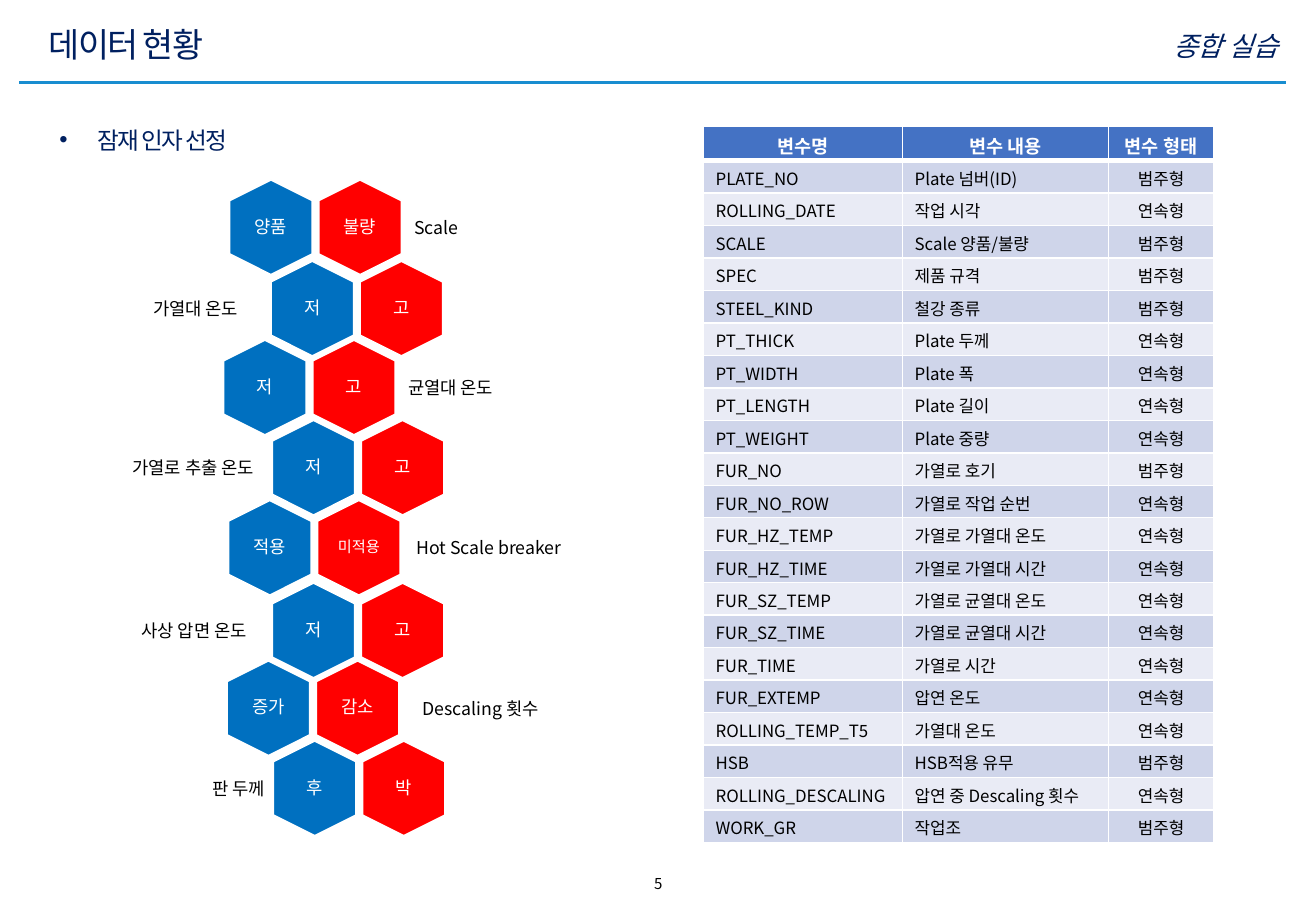
from pptx import Presentation
from pptx.dml.color import RGBColor
from pptx.enum.shapes import MSO_CONNECTOR as Connector, MSO_SHAPE as Shape
from pptx.enum.text import MSO_ANCHOR as Anchor, MSO_AUTO_SIZE as AutoSize, PP_ALIGN as Align
from pptx.oxml.ns import qn
from pptx.util import Pt
from lxml.etree import SubElement, Element

# Content
TITLE = "데이터 현황"
COURSE = "종합 실습"
HEADING = "잠재 인자 선정"
PAGE = "5"

# blue level, red level, factor, left of the blue hexagon, top, label edge nearest the pair
FACTORS = [
    ("양품", "불량", "Scale", 132.5, 110.2, 241.9),
    ("저", "고", "가열대 온도", 157, 158.4, 144.7),
    ("저", "고", "균열대 온도", 128.9, 205.2, 238.3),
    ("저", "고", "가열로 추출 온도", 157.7, 252.7, 154.1),
    ("적용", "미적용", "Hot Scale breaker", 131.8, 300.2, 243.4),
    ("저", "고", "사상 압면 온도", 157.7, 349.2, 149.8),
    ("증가", "감소", "Descaling 횟수", 131, 395.3, 247),
    ("후", "박", "판 두께", 158.4, 442.8, 160.6),
]

HEADER = ("변수명", "변수 내용", "변수 형태")
CATEGORY, CONTINUOUS = "범주형", "연속형"
VARIABLES = [
    ("PLATE_NO", "Plate 넘버(ID)", CATEGORY),
    ("ROLLING_DATE", "작업 시각", CONTINUOUS),
    ("SCALE", "Scale 양품/불량", CATEGORY),
    ("SPEC", "제품 규격", CATEGORY),
    ("STEEL_KIND", "철강 종류", CATEGORY),
    ("PT_THICK", "Plate 두께", CONTINUOUS),
    ("PT_WIDTH", "Plate 폭", CONTINUOUS),
    ("PT_LENGTH", "Plate 길이", CONTINUOUS),
    ("PT_WEIGHT", "Plate 중량", CONTINUOUS),
    ("FUR_NO", "가열로 호기", CATEGORY),
    ("FUR_NO_ROW", "가열로 작업 순번", CONTINUOUS),
    ("FUR_HZ_TEMP", "가열로 가열대 온도", CONTINUOUS),
    ("FUR_HZ_TIME", "가열로 가열대 시간", CONTINUOUS),
    ("FUR_SZ_TEMP", "가열로 균열대 온도", CONTINUOUS),
    ("FUR_SZ_TIME", "가열로 균열대 시간", CONTINUOUS),
    ("FUR_TIME", "가열로 시간", CONTINUOUS),
    ("FUR_EXTEMP", "압연 온도", CONTINUOUS),
    ("ROLLING_TEMP_T5", "가열대 온도", CONTINUOUS),
    ("HSB", "HSB적용 유무", CATEGORY),
    ("ROLLING_DESCALING", "압연 중 Descaling 횟수", CONTINUOUS),
    ("WORK_GR", "작업조", CATEGORY),
]

FONT = "Noto Sans CJK KR"
COLORS = {
    "navy": "002060", "rule": "188DD0", "blue": "0070C0", "red": "FF0000",
    "white": "FFFFFF", "black": "000000",
    "header": "4472C4", "odd": "CFD5EA", "even": "E9EBF5",
}
HEX_W, HEX_H, HEX_PITCH = 56.2, 49, 52.8
LEVEL_W, LEVEL_H = 34, 38
LABEL_W, LABEL_H = 110, 34
COLUMN_WIDTHS = (118, 122, 62.5)
HEADER_H, ROW_H = 20.2, 19.25


def rgb(name):
    return RGBColor.from_string(COLORS[name])


def write(frame, text, size, color, align=Align.LEFT, spacing=None, bold=False, italic=False):
    frame.text = text
    paragraph = frame.paragraphs[0]
    paragraph.alignment = align
    paragraph.space_before = Pt(0)
    run = paragraph.runs[0]
    font = run.font
    font.name, font.size, font.bold, font.italic = FONT, Pt(size), bold, italic
    font.color.rgb = rgb(color)
    props = run._r.get_or_add_rPr()
    SubElement(props, qn("a:ea")).set("typeface", FONT)
    if spacing is not None:
        props.set("spc", str(spacing * 100))
    return paragraph


def set_insets(frame, inset):
    frame.margin_left = frame.margin_right = Pt(inset)
    frame.margin_top = frame.margin_bottom = Pt(inset)


def place(holder, left, top, width, height):
    holder.left, holder.top, holder.width, holder.height = map(Pt, (left, top, width, height))
    holder.text_frame.auto_size = AutoSize.NONE
    holder.text_frame.vertical_anchor = Anchor.MIDDLE


def add_text(box, text, size, color, align, inset=0, anchor=Anchor.MIDDLE, italic=False):
    frame = slide.shapes.add_textbox(*map(Pt, box)).text_frame
    frame.word_wrap = True
    frame.vertical_anchor = anchor
    set_insets(frame, inset)
    return write(frame, text, size, color, align, italic=italic)


def add_level(text, color, left, top):
    hexagon = slide.shapes.add_shape(Shape.HEXAGON, Pt(left), Pt(top), Pt(HEX_W), Pt(HEX_H))
    hexagon.rotation = 90
    hexagon.adjustments[0] = 0.25
    hexagon.shadow.inherit = False
    hexagon.fill.solid()
    hexagon.fill.fore_color.rgb = rgb(color)
    hexagon.line.color.rgb = rgb("white")
    hexagon.line.width = Pt(1)
    box = (left + (HEX_W - LEVEL_W) / 2, top + (HEX_H - LEVEL_H) / 2, LEVEL_W, LEVEL_H)
    size = 9 if len(text) > 2 else 10.5
    add_text(box, text, size, "white", Align.CENTER).line_spacing = 0.9


def add_borders(cell, top, bottom):
    props = cell._tc.get_or_add_tcPr()
    for position, (side, width) in enumerate((("L", 1), ("R", 1), ("T", top), ("B", bottom))):
        border = Element(qn(f"a:ln{side}"), w=str(Pt(width)))
        fill = SubElement(border, qn("a:solidFill"))
        SubElement(fill, qn("a:srgbClr")).set("val", COLORS["white"])
        props.insert(position, border)


prs = Presentation()
prs.slide_width, prs.slide_height = Pt(780), Pt(540)
slide = prs.slides.add_slide(prs.slide_layouts[1])

# Title, course name and rule
title = slide.shapes.title
place(title, 21.6, 10, 612.7, 31.7)
write(title.text_frame, TITLE, 20, "navy", spacing=-1)
add_text((471.6, 17.3, 286, 23), COURSE, 16, "navy", Align.RIGHT, anchor=Anchor.TOP, italic=True)
rule = slide.shapes.add_connector(Connector.STRAIGHT, Pt(11.5), Pt(49), Pt(762.5), Pt(49))
rule.line.color.rgb = rgb("rule")
rule.line.width = Pt(2)
SubElement(rule._element.spPr, qn("a:effectLst"))

# Heading with its bullet
heading = slide.placeholders[1]
place(heading, 28, 70.6, 380, 24.5)
heading_props = write(heading.text_frame, HEADING, 14, "navy", spacing=-1)._p.get_or_add_pPr()
heading_props.set("marL", str(Pt(22.5)))
heading_props.set("indent", str(Pt(-22.5)))
SubElement(heading_props, qn("a:buFont")).set("typeface", "Arial")
SubElement(heading_props, qn("a:buChar")).set("char", "•")

# Hexagon pairs, with the factor label on alternating sides
for index, (blue_level, red_level, factor, left, top, edge) in enumerate(FACTORS):
    add_level(blue_level, "blue", left, top)
    add_level(red_level, "red", left + HEX_PITCH, top)
    on_left = index % 2 == 1
    label_left = edge - LABEL_W if on_left else edge
    label_box = (label_left, top + (HEX_H - LABEL_H) / 2 + 0.7, LABEL_W, LABEL_H)
    label = add_text(label_box, factor, 10.5, "black", Align.RIGHT if on_left else Align.LEFT, 3.6)
    label.line_spacing = 0.9

# Variable table
rows = [HEADER] + VARIABLES
variables = slide.shapes.add_table(
    len(rows), len(HEADER), Pt(417), Pt(75), Pt(sum(COLUMN_WIDTHS)),
    Pt(HEADER_H + ROW_H * len(VARIABLES))).table
for column, width in zip(variables.columns, COLUMN_WIDTHS):
    column.width = Pt(width)
for r, row in enumerate(rows):
    is_header = r == 0
    variables.rows[r].height = Pt(HEADER_H if is_header else ROW_H)
    for c, text in enumerate(row):
        cell = variables.cell(r, c)
        cell.margin_top, cell.margin_bottom = Pt(3.2), Pt(0.6)
        cell.fill.solid()
        cell.fill.fore_color.rgb = rgb("header" if is_header else "odd" if r % 2 else "even")
        add_borders(cell, 3 if r == 1 else 1, 3 if is_header else 1)
        write(cell.text_frame, text, 11 if is_header else 10, "white" if is_header else "black",
              Align.CENTER if is_header or c == 2 else Align.LEFT, bold=is_header)

# Page number
add_text((316, 518.4, 148.3, 18), PAGE, 8.9, "black", Align.CENTER, anchor=Anchor.TOP)

prs.save("out.pptx")
